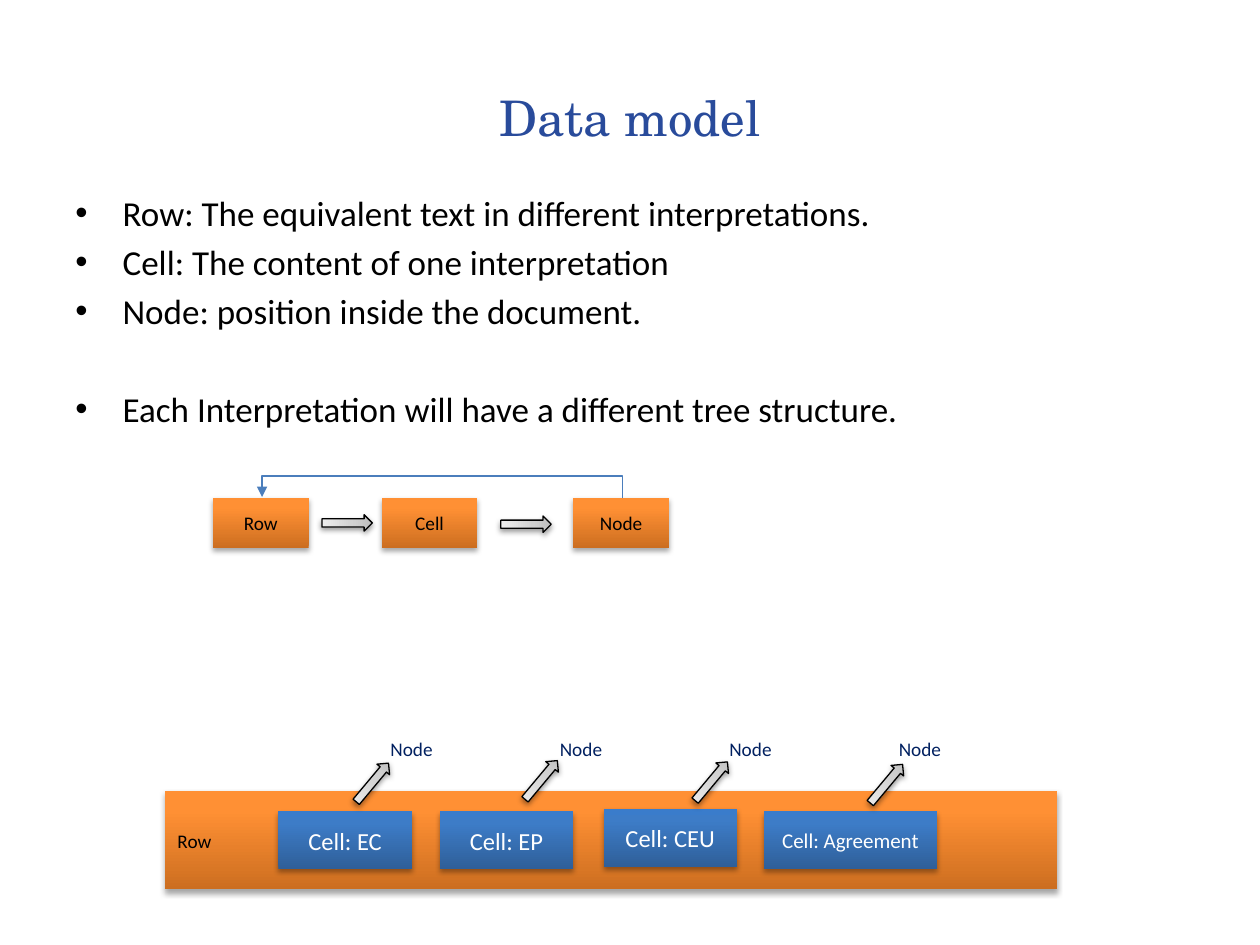
import lxml.etree
import pptx
import pptx.dml.color
import pptx.enum.shapes
import pptx.enum.text
import pptx.oxml.ns
import pptx.util

RGB = pptx.dml.color.RGBColor
SHAPE = pptx.enum.shapes.MSO_SHAPE
ALIGN = pptx.enum.text.PP_ALIGN
ANCHOR = pptx.enum.text.MSO_ANCHOR
Pt = pptx.util.Pt
qn = pptx.oxml.ns.qn

TITLE_BLUE = RGB(0x29, 0x4B, 0x9B)
NODE_NAVY = RGB(0x00, 0x20, 0x60)
LINK_BLUE = RGB(0x4B, 0x7E, 0xBC)
BLACK = RGB(0, 0, 0)
WHITE = RGB(255, 255, 255)

# Gradients: (percent, colour) stops
ORANGE = [(0, RGB(0xCC, 0x6E, 0x20)), (80, RGB(0xFF, 0x90, 0x34)), (100, RGB(0xFF, 0x91, 0x36))]
BLUE = [(0, RGB(0x2F, 0x5F, 0x99)), (80, RGB(0x3D, 0x7C, 0xC7)), (100, RGB(0x3A, 0x7C, 0xCB))]
GREY = [(0, RGB(0xED, 0xED, 0xED)), (65, RGB(0xD0, 0xD0, 0xD0)), (100, RGB(0xBC, 0xBC, 0xBC))]

# The slide is a grid of 100 columns by 75 rows
UNIT = pptx.util.Inches(0.1)
COLUMNS, ROWS = 100, 75


def grid(*lengths):
    return [round(length * UNIT) for length in lengths]


def child(parent, tag, **attributes):
    return lxml.etree.SubElement(parent, qn(tag), attributes)


def write(paragraph, text, *, size=11, color=BLACK, font="Calibri", align=ALIGN.LEFT):
    paragraph.alignment = align
    run = paragraph.add_run()
    run.text = text
    run.font.size = Pt(size)
    run.font.name = font
    run.font.color.rgb = color


class DataModelSlide:
    def __init__(self, presentation):
        self.shapes = presentation.slides.add_slide(presentation.slide_layouts[6]).shapes

    def text(self, box, text, anchor=ANCHOR.TOP, wrap=True, **style):
        frame = self.shapes.add_textbox(*grid(*box)).text_frame
        frame.word_wrap = wrap
        frame.vertical_anchor = anchor
        write(frame.paragraphs[0], text, **style)

    def bullets(self, box, items, size):
        """items: (text, space before in points)"""
        frame = self.shapes.add_textbox(*grid(*box)).text_frame
        frame.word_wrap = True
        for index, (text, space) in enumerate(items):
            paragraph = frame.add_paragraph() if index else frame.paragraphs[0]
            if space:
                paragraph.space_before = Pt(space)
            properties = paragraph._p.get_or_add_pPr()
            indent = grid(3.75)[0]
            properties.set("marL", str(indent))
            properties.set("indent", str(-indent))
            child(properties, "a:buFont", typeface="Arial")
            child(properties, "a:buChar", char="•")
            write(paragraph, text, size=size)

    def shaded(self, kind, box, stops, angle, shadow):
        """Gradient shape; shadow is (opacity percent, distance in points)."""
        shape = self.shapes.add_shape(kind, *grid(*box))
        shape.fill.gradient()
        shape.fill.gradient_angle = angle
        stop_list = shape._element.spPr.find(".//" + qn("a:gsLst"))
        for default_stop in list(stop_list):
            stop_list.remove(default_stop)
        for percent, color in stops:
            stop = child(stop_list, "a:gs", pos=str(percent * 1000))
            child(stop, "a:srgbClr", val=str(color))
        shape.line.fill.background()
        shape.shadow.inherit = False
        opacity, distance = shadow
        effects = shape._element.spPr.find(qn("a:effectLst"))
        outer = child(effects, "a:outerShdw", blurRad=str(Pt(3.1)), dist=str(Pt(distance)),
                      dir="5400000", rotWithShape="0")
        black = child(outer, "a:srgbClr", val=str(BLACK))
        child(black, "a:alpha", val=str(opacity * 1000))
        return shape

    def block(self, box, text, stops=ORANGE, align=ALIGN.CENTER, **style):
        shape = self.shaded(SHAPE.RECTANGLE, box, stops, 90, (35, 1.8))
        write(shape.text_frame.paragraphs[0], text, align=align, **style)

    def arrow(self, left, top, rotation):
        shape = self.shaded(SHAPE.DOWN_ARROW, (left, top, 1.3, 4), GREY, 270, (38, 1.6))
        shape.rotation = rotation
        shape.line.color.rgb = BLACK
        shape.line.width = Pt(0.75)

    def return_link(self, start_x, end_x, y, rise):
        """Elbow that leaves upwards, runs sideways and comes down on end_x."""
        middle, half, width = (start_x + end_x) / 2, abs(start_x - end_x) / 2, 0.1
        ends = grid(middle - width / 2, y + half, middle + width / 2, y - half)
        link = self.shapes.add_connector(pptx.enum.shapes.MSO_CONNECTOR.ELBOW, *ends)
        link.line.color.rgb = LINK_BLUE
        link.line.width = Pt(0.75)
        properties = link._element.spPr
        properties.find(qn("a:xfrm")).set("rot", str(270 * 60000))
        adjustments = properties.find(".//" + qn("a:avLst"))
        child(adjustments, "a:gd", name="adj1", fmla=f"val {round(rise / width * 100000)}")
        child(properties.find(qn("a:ln")), "a:tailEnd", type="triangle")
        child(properties, "a:effectLst")


def main():
    presentation = pptx.Presentation()
    presentation.slide_width, presentation.slide_height = grid(COLUMNS, ROWS)
    slide = DataModelSlide(presentation)

    # Title and definitions
    slide.text((5, 3, 90, 12.5), "Data model", anchor=ANCHOR.MIDDLE, size=28,
               color=TITLE_BLUE, font="TeX Gyre Schola", align=ALIGN.CENTER)
    slide.bullets((5, 14.7, 90, 21.5), [
        ("Row: The equivalent text in different interpretations.", 0),
        ("Cell: The content of one interpretation", 4),
        ("Node: position inside the document.", 4),
        ("Each Interpretation will have a different tree structure.", 32),
    ], size=20)

    # Row to cell to node, and back
    for left, name in ((16.9, "Row"), (30.3, "Cell"), (45.5, "Node")):
        slide.block((left, 39.5, 7.6, 4), name)
    slide.arrow(26.9, 39.5, 270)
    slide.arrow(41.1, 39.6, 270)
    slide.return_link(49.4, 20.8, 39.5, rise=1.8)

    # One row holding a cell per interpretation
    slide.block((13.1, 62.8, 70.8, 7.8), "Row", align=ALIGN.LEFT)
    for left, top, width, name, size in (
        (22.1, 64.4, 10.6, "EC", 14),
        (34.9, 64.4, 10.6, "EP", 14),
        (47.9, 64.2, 10.6, "CEU", 14),
        (60.6, 64.4, 13.8, "Agreement", 12),
    ):
        slide.block((left, top, width, 4.6), f"Cell: {name}", BLUE, size=size, color=WHITE)

    # Each cell points to its node
    for index, (left, top) in enumerate(((28.9, 60.1), (42.3, 59.9), (55.8, 60), (69.7, 60.2))):
        slide.arrow(left, top, 219.9)
        slide.text((30 + 13.45 * index, 58, 5.4, 2.9), "Node", wrap=False, color=NODE_NAVY)

    presentation.save("out.pptx")


if __name__ == "__main__":
    main()
